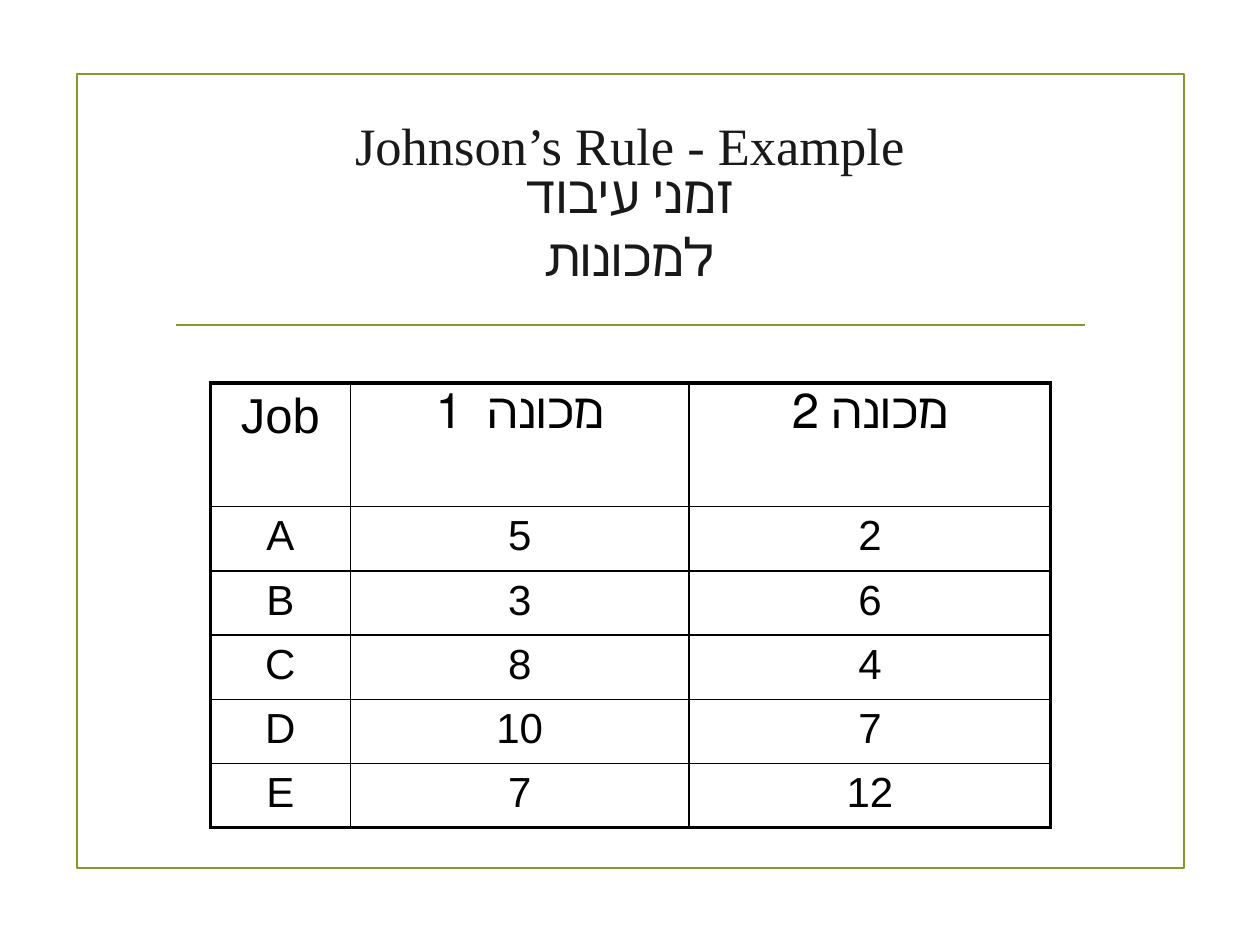
from lxml.etree import SubElement
from pptx import Presentation
from pptx.dml.color import RGBColor
from pptx.enum.shapes import MSO_CONNECTOR, MSO_SHAPE
from pptx.enum.text import MSO_ANCHOR, PP_ALIGN
from pptx.oxml import parse_xml
from pptx.oxml.ns import nsdecls, qn
from pptx.util import Inches, Pt

GREEN, BLACK, INK, WHITE = "83992A", "000000", "191919", "FFFFFF"
ROWS = [
    ("Job", "מכונה  1", "מכונה 2"),
    ("A", "5", "2"),
    ("B", "3", "6"),
    ("C", "8", "4"),
    ("D", "10", "7"),
    ("E", "7", "12"),
]
WIDTHS = [1.11, 2.69, 2.87]
HEIGHTS = [0.98] + [0.51] * 5


def paint(target, color):
    target.rgb = RGBColor.from_string(color)


def style(para, size, face, color):
    para.alignment = PP_ALIGN.CENTER
    para.font.size = Pt(size)
    para.font.name = face
    paint(para.font.color, color)


def add_frame(slide, *box):
    frame = slide.shapes.add_shape(MSO_SHAPE.RECTANGLE, *map(Inches, box))
    frame.shadow.inherit = False
    frame.fill.background()
    paint(frame.line.color, GREEN)
    frame.line.width = Pt(1.25)


def add_rule(slide, left, right, top):
    ends = map(Inches, (left, top, right, top))
    rule = slide.shapes.add_connector(MSO_CONNECTOR.STRAIGHT, *ends)
    paint(rule.line.color, GREEN)
    rule.line.width = Pt(1.25)
    SubElement(rule._element.spPr, qn("a:effectLst"))


def add_text(slide, text, *box):
    frame = slide.shapes.add_textbox(*map(Inches, box)).text_frame
    frame.word_wrap = True
    frame.vertical_anchor = MSO_ANCHOR.MIDDLE
    frame.text = text
    style(frame.paragraphs[0], 30, "Times New Roman", INK)


def add_edges(cell, edges):
    props = cell._tc.get_or_add_tcPr()
    for spot, (side, width) in enumerate(edges.items()):
        line = parse_xml(
            f'<a:ln{side} {nsdecls("a")} w="{Pt(width)}"><a:solidFill>'
            f'<a:srgbClr val="{BLACK}"/></a:solidFill></a:ln{side}>'
        )
        props.insert(spot, line)


def fill_cell(cell, text, size):
    cell.fill.solid()
    paint(cell.fill.fore_color, WHITE)
    cell.margin_left = cell.margin_right = Inches(0.11)
    cell.margin_top = cell.margin_bottom = Inches(0.05)
    cell.text = text
    style(cell.text_frame.paragraphs[0], size, "Arial", BLACK)


def add_grid(slide, left, top):
    box = map(Inches, (left, top, sum(WIDTHS), sum(HEIGHTS)))
    table = slide.shapes.add_table(len(ROWS), len(WIDTHS), *box).table
    for col, width in zip(table.columns, WIDTHS):
        col.width = Inches(width)
    for row, height in zip(table.rows, HEIGHTS):
        row.height = Inches(height)
    for r, row in enumerate(ROWS):
        for c, text in enumerate(row):
            cell = table.cell(r, c)
            fill_cell(cell, text, 24 if r else 28)
            outer = {
                "L": c == 0,
                "R": c == len(WIDTHS) - 1,
                "T": r == 0,
                "B": r == len(ROWS) - 1,
            }
            add_edges(cell, {s: 2.25 if o else 1 for s, o in outer.items()})


def main():
    deck = Presentation()
    deck.slide_width, deck.slide_height = Inches(10), Inches(7.5)
    slide = deck.slides.add_slide(deck.slide_layouts[6])
    add_frame(slide, 0.61, 0.59, 8.79, 6.3)
    add_rule(slide, 1.4, 8.61, 2.58)
    add_text(slide, "Johnson’s Rule - Example", 0.5, 0.52, 9, 1.25)
    add_grid(slide, 1.67, 3.04)
    add_text(slide, "זמני עיבוד למכונות", 3.38, 1.47, 3.24, 0.61)
    deck.save("out.pptx")


if __name__ == "__main__":
    main()
